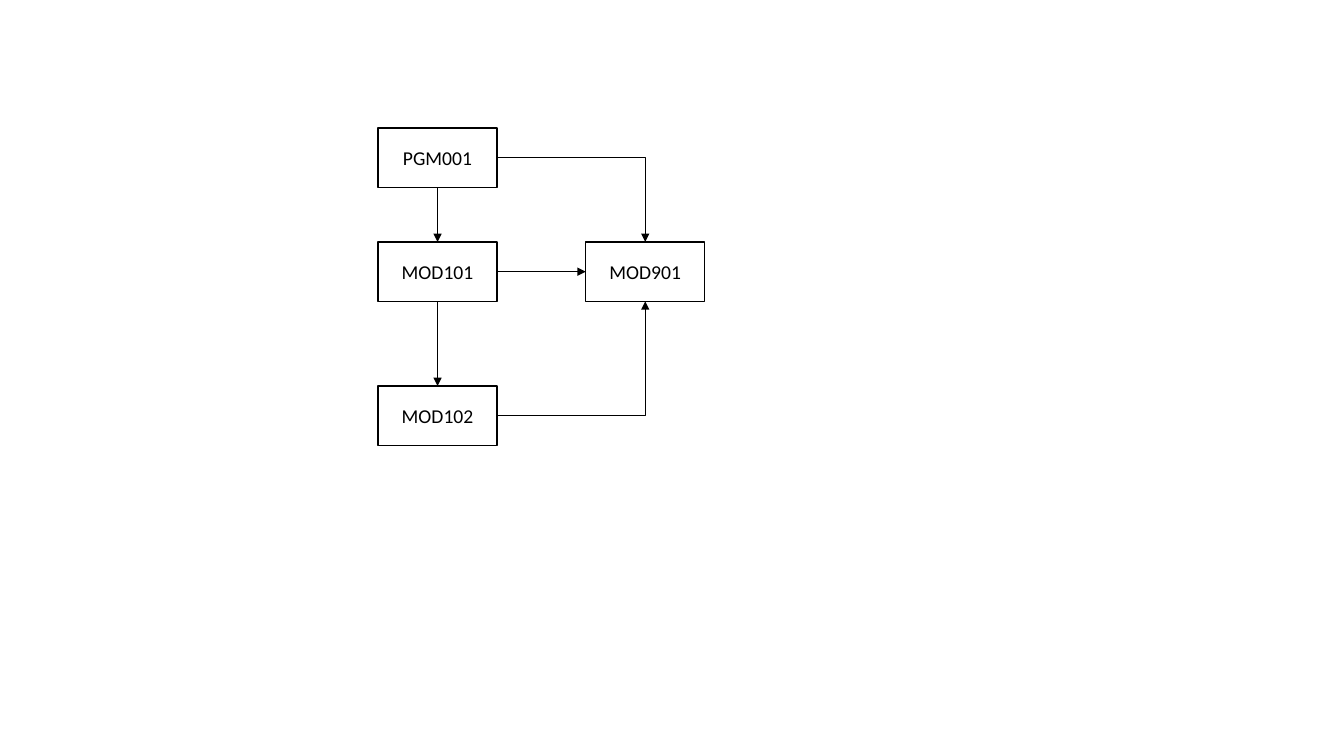
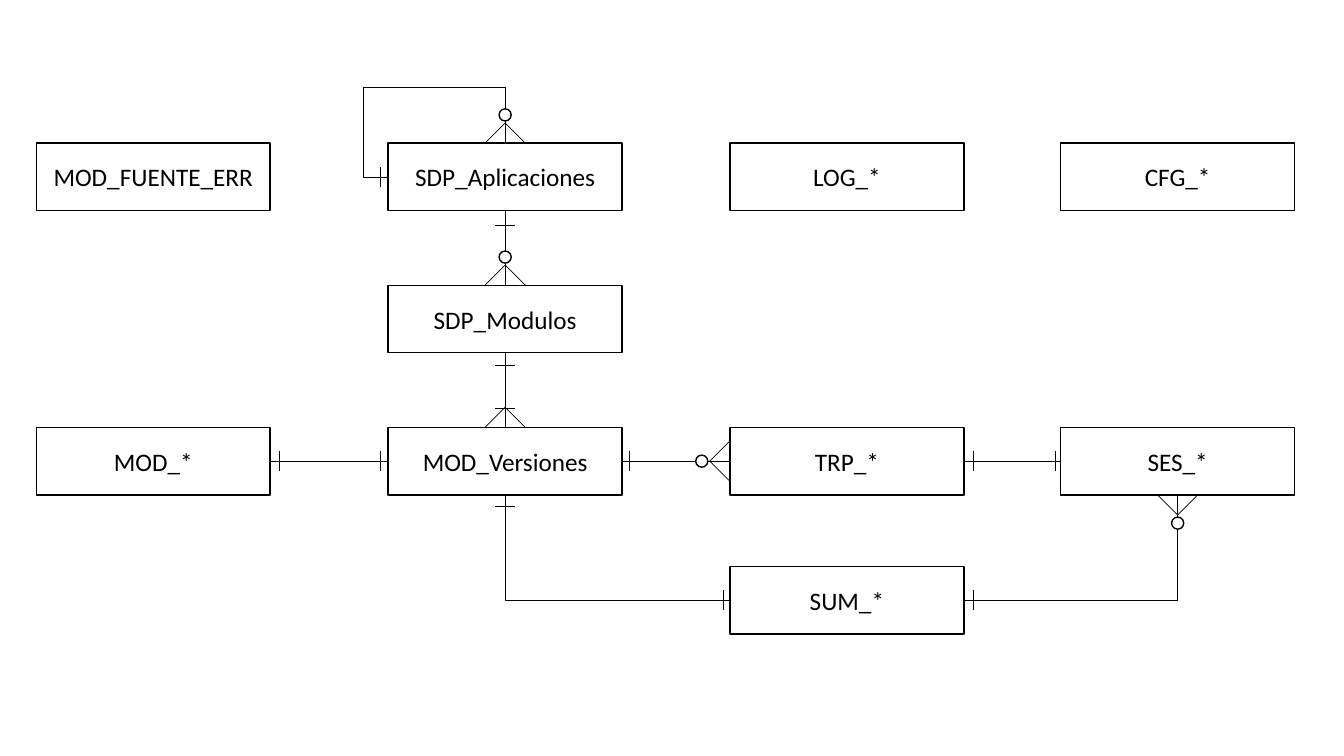
"""Build a call diagram and an entity-relationship diagram."""
from enum import IntEnum

from lxml.etree import SubElement
from pptx import Presentation
from pptx.dml.color import RGBColor
from pptx.enum.shapes import MSO_CONNECTOR, MSO_SHAPE
from pptx.enum.text import MSO_ANCHOR, PP_ALIGN
from pptx.oxml.ns import qn
from pptx.util import Inches, Pt

BLACK = RGBColor(0x00, 0x00, 0x00)
WHITE = RGBColor(0xFF, 0xFF, 0xFF)
BLANK_LAYOUT = 6
FONT_NAME = "Calibri"
FRAME_FORMAT = {"word_wrap": True, "vertical_anchor": MSO_ANCHOR.MIDDLE}

MODULE_SIZE = (1.18, 0.59)
MODULES = {
    "PGM001": (3.75, 1.27),
    "MOD101": (3.75, 2.4),
    "MOD102": (3.75, 3.83),
    "MOD901": (5.81, 2.4),
}

ENTITY_SIZE = (2.32, 0.67)
COLUMNS = (0.36, 3.85, 7.24, 10.52)
ROWS = (1.42, 2.83, 4.24, 5.62)
ENTITIES = {
    "SDP_Aplicaciones": (1, 0),
    "SDP_Modulos": (1, 1),
    "MOD_Versiones": (1, 2),
    "MOD_*": (0, 2),
    "TRP_*": (2, 2),
    "SES_*": (3, 2),
    "SUM_*": (2, 3),
    "LOG_*": (2, 0),
    "CFG_*": (3, 0),
    "MOD_FUENTE_ERR": (0, 0),
}

MARK_REACH = Inches(0.1)
FOOT_REACH = Inches(0.2)
RING_DISTANCE = Inches(0.28)
RING_SIZE = Inches(0.12)


class Side(IntEnum):
    """Connection sites of a rectangle."""

    TOP = 0
    LEFT = 1
    BOTTOM = 2
    RIGHT = 3


DIRECTIONS = {
    Side.TOP: (0, -1),
    Side.LEFT: (-1, 0),
    Side.BOTTOM: (0, 1),
    Side.RIGHT: (1, 0),
}

CALLS = (
    ("PGM001", Side.BOTTOM, "MOD101", Side.TOP),
    ("MOD101", Side.BOTTOM, "MOD102", Side.TOP),
    ("MOD101", Side.RIGHT, "MOD901", Side.LEFT),
    ("PGM001", Side.RIGHT, "MOD901", Side.TOP),
    ("MOD102", Side.RIGHT, "MOD901", Side.BOTTOM),
)

RELATIONS = (
    ("SDP_Aplicaciones", Side.BOTTOM, "SDP_Modulos", Side.TOP),
    ("SDP_Modulos", Side.BOTTOM, "MOD_Versiones", Side.TOP),
    ("MOD_Versiones", Side.RIGHT, "TRP_*", Side.LEFT),
    ("TRP_*", Side.RIGHT, "SES_*", Side.LEFT),
    ("MOD_*", Side.RIGHT, "MOD_Versiones", Side.LEFT),
    ("SUM_*", Side.RIGHT, "SES_*", Side.BOTTOM),
    ("SUM_*", Side.LEFT, "MOD_Versiones", Side.BOTTOM),
)
LOOP_ADJUSTMENTS = (-21600, 265900)

ONE_MARKS = (
    ("SDP_Aplicaciones", Side.LEFT, 0.08),
    ("SDP_Aplicaciones", Side.BOTTOM, 0.15),
    ("SDP_Modulos", Side.BOTTOM, 0.12),
    ("MOD_Versiones", Side.TOP, 0.19),
    ("MOD_Versiones", Side.LEFT, 0.08),
    ("MOD_Versiones", Side.RIGHT, 0.07),
    ("MOD_Versiones", Side.BOTTOM, 0.11),
    ("MOD_*", Side.RIGHT, 0.09),
    ("TRP_*", Side.RIGHT, 0.09),
    ("SES_*", Side.LEFT, 0.05),
    ("SUM_*", Side.LEFT, 0.07),
    ("SUM_*", Side.RIGHT, 0.09),
)
OPTIONAL_MANY = (
    ("SDP_Aplicaciones", Side.TOP),
    ("SDP_Modulos", Side.TOP),
    ("TRP_*", Side.LEFT),
    ("SES_*", Side.BOTTOM),
)
REQUIRED_MANY = (("MOD_Versiones", Side.TOP),)


def apply_format(target, values):
    """Set each named attribute on the target."""
    for name, value in values.items():
        setattr(target, name, value)


def add_outlined_shape(slide, preset, left, top, width, height):
    """Add a white shape with a thin black outline."""
    shape = slide.shapes.add_shape(preset, left, top, width, height)
    shape.shadow.inherit = False
    shape.fill.solid()
    shape.fill.fore_color.rgb = WHITE
    shape.line.color.rgb = BLACK
    shape.line.width = Pt(1)
    return shape


def add_box(slide, text, position, size, font_size):
    """Add a rectangle with a centred label."""
    bounds = [Inches(value) for value in (*position, *size)]
    shape = add_outlined_shape(slide, MSO_SHAPE.RECTANGLE, *bounds)
    apply_format(shape.text_frame, FRAME_FORMAT)
    paragraph = shape.text_frame.paragraphs[0]
    paragraph.text = text
    paragraph.alignment = PP_ALIGN.CENTER
    apply_format(paragraph.font, {"name": FONT_NAME, "size": Pt(font_size)})
    paragraph.font.color.rgb = BLACK
    return shape


def add_line(slide, start, end, kind=MSO_CONNECTOR.STRAIGHT):
    """Add a thin black connector without a shadow."""
    connector = slide.shapes.add_connector(kind, *start, *end)
    connector.line.color.rgb = BLACK
    connector.line.width = Pt(0.5)
    SubElement(connector._element.spPr, qn("a:effectLst"))
    return connector


def add_arrowhead(connector):
    """Put a triangle at the end of a connector."""
    line = connector._element.spPr.find(qn("a:ln"))
    SubElement(line, qn("a:tailEnd"), type="triangle")


def bend(connector, preset, adjustments=()):
    """Choose the preset route of an elbow connector."""
    geometry = connector._element.spPr.find(qn("a:prstGeom"))
    geometry.set("prst", preset)
    values = geometry.find(qn("a:avLst"))
    for number, value in enumerate(adjustments, 1):
        SubElement(values, qn("a:gd"), name=f"adj{number}", fmla=f"val {value}")


def point_beside(shape, side, distance=0, offset=0):
    """Return a point outside a side, shifted along that side."""
    across, down = DIRECTIONS[side]
    x = shape.left + shape.width * (1 + across) / 2
    y = shape.top + shape.height * (1 + down) / 2
    return (
        int(x + across * distance + down * offset),
        int(y + down * distance + across * offset),
    )


def connect(slide, first, first_side, second, second_side):
    """Join two box sides, with one corner if they are at right angles."""
    is_bent = first_side % 2 != second_side % 2
    kind = MSO_CONNECTOR.ELBOW if is_bent else MSO_CONNECTOR.STRAIGHT
    start = point_beside(first, first_side)
    end = point_beside(second, second_side)
    connector = add_line(slide, start, end, kind)
    connector.begin_connect(first, first_side)
    connector.end_connect(second, second_side)
    if is_bent:
        bend(connector, "bentConnector2")
    return connector


def add_one_mark(slide, shape, side, distance):
    """Add a short bar across a relation."""
    ends = [
        point_beside(shape, side, Inches(distance), offset)
        for offset in (-MARK_REACH, MARK_REACH)
    ]
    add_line(slide, *ends)


def add_crow_foot(slide, shape, side):
    """Add the two spread toes of a many end."""
    tip = point_beside(shape, side, FOOT_REACH)
    for offset in (-FOOT_REACH, FOOT_REACH):
        add_line(slide, tip, point_beside(shape, side, 0, offset))


def add_ring(slide, shape, side):
    """Add the small circle of an optional end."""
    x, y = point_beside(shape, side, RING_DISTANCE)
    left, top = x - RING_SIZE // 2, y - RING_SIZE // 2
    add_outlined_shape(slide, MSO_SHAPE.OVAL, left, top, RING_SIZE, RING_SIZE)


def build_call_slide(slide):
    """Draw the program modules and their calls."""
    boxes = {
        name: add_box(slide, name, position, MODULE_SIZE, 14)
        for name, position in MODULES.items()
    }
    for caller, caller_side, called, called_side in CALLS:
        connector = connect(
            slide, boxes[caller], caller_side, boxes[called], called_side
        )
        add_arrowhead(connector)


def build_entity_slide(slide):
    """Draw the entities, their relations and the end marks."""
    boxes = {
        name: add_box(slide, name, (COLUMNS[column], ROWS[row]), ENTITY_SIZE, 18)
        for name, (column, row) in ENTITIES.items()
    }
    for first, first_side, second, second_side in RELATIONS:
        connect(slide, boxes[first], first_side, boxes[second], second_side)
    applications = boxes["SDP_Aplicaciones"]
    loop = connect(slide, applications, Side.LEFT, applications, Side.TOP)
    bend(loop, "bentConnector4", LOOP_ADJUSTMENTS)
    for name, side, distance in ONE_MARKS:
        add_one_mark(slide, boxes[name], side, distance)
    for name, side in OPTIONAL_MANY + REQUIRED_MANY:
        add_crow_foot(slide, boxes[name], side)
    for name, side in OPTIONAL_MANY:
        add_ring(slide, boxes[name], side)


def main():
    """Build and save the presentation."""
    presentation = Presentation()
    presentation.slide_width = Inches(13.33)
    presentation.slide_height = Inches(7.5)
    layout = presentation.slide_layouts[BLANK_LAYOUT]
    for build in (build_call_slide, build_entity_slide):
        build(presentation.slides.add_slide(layout))
    presentation.save("out.pptx")


if __name__ == "__main__":
    main()
